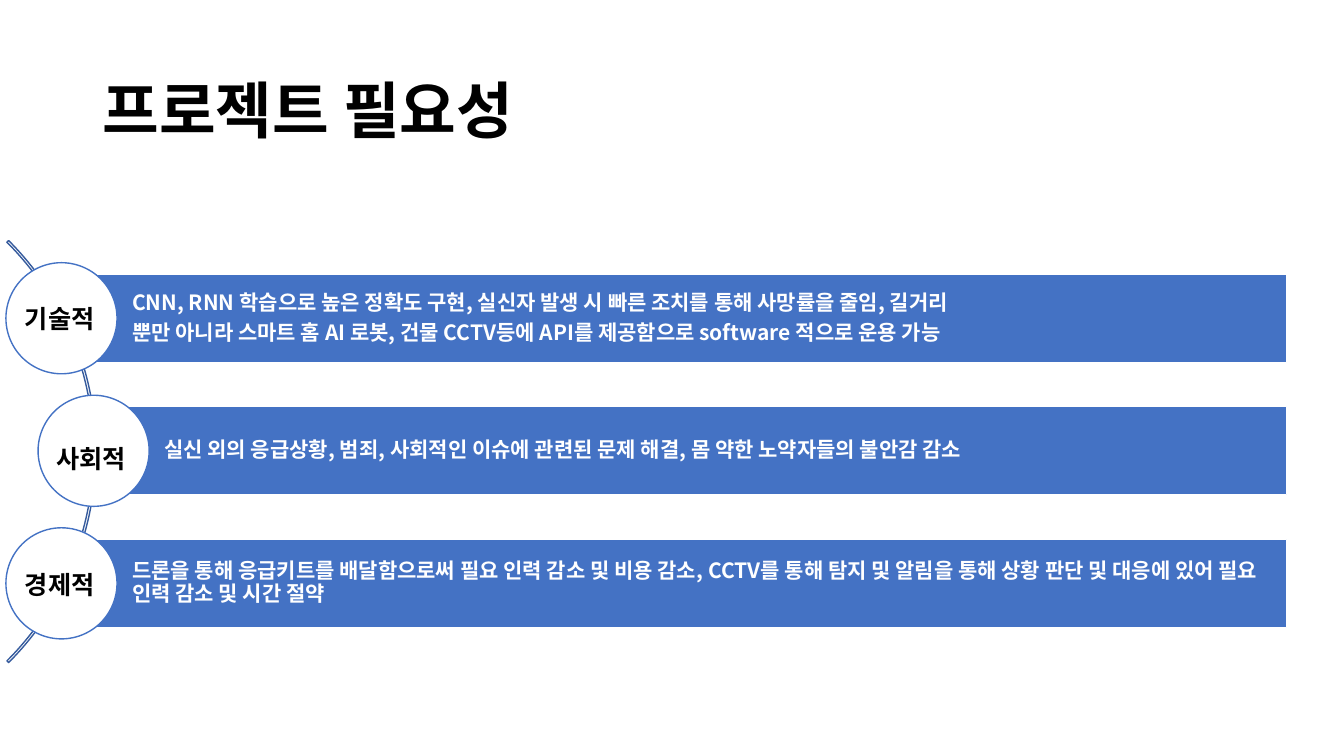
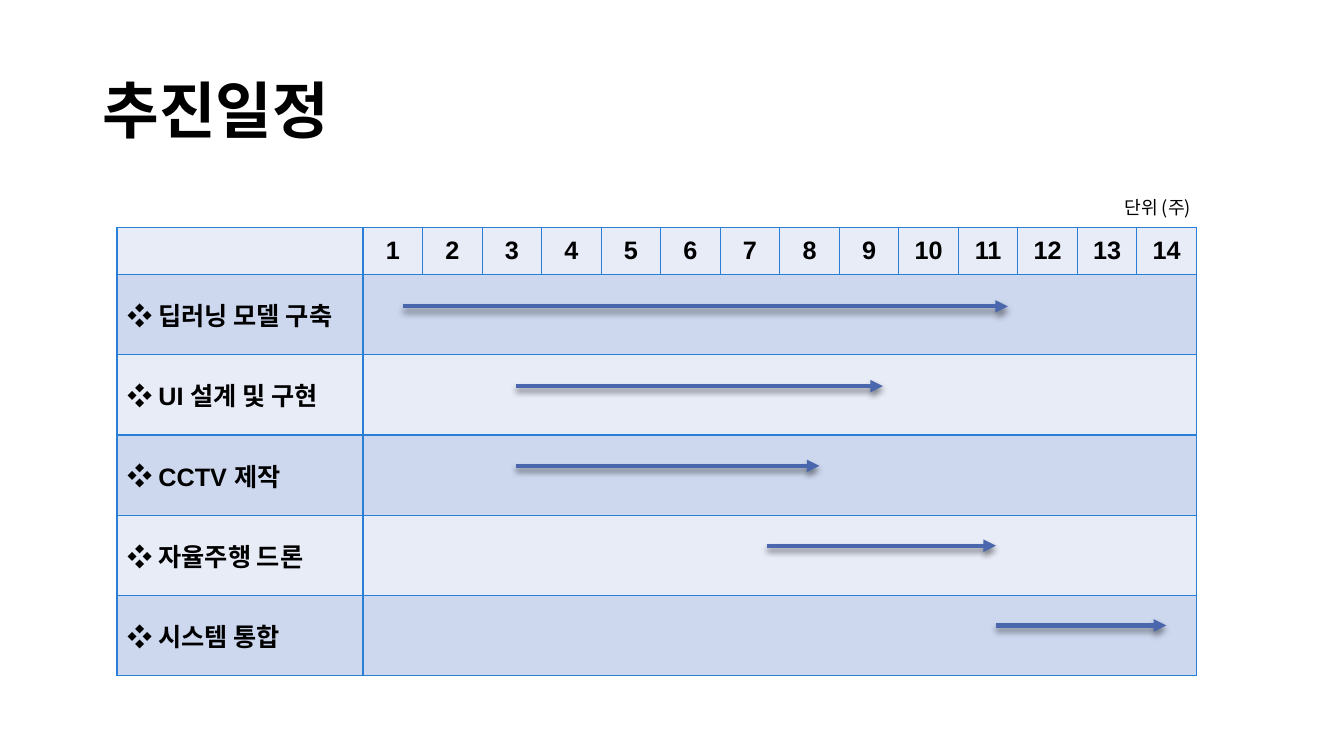
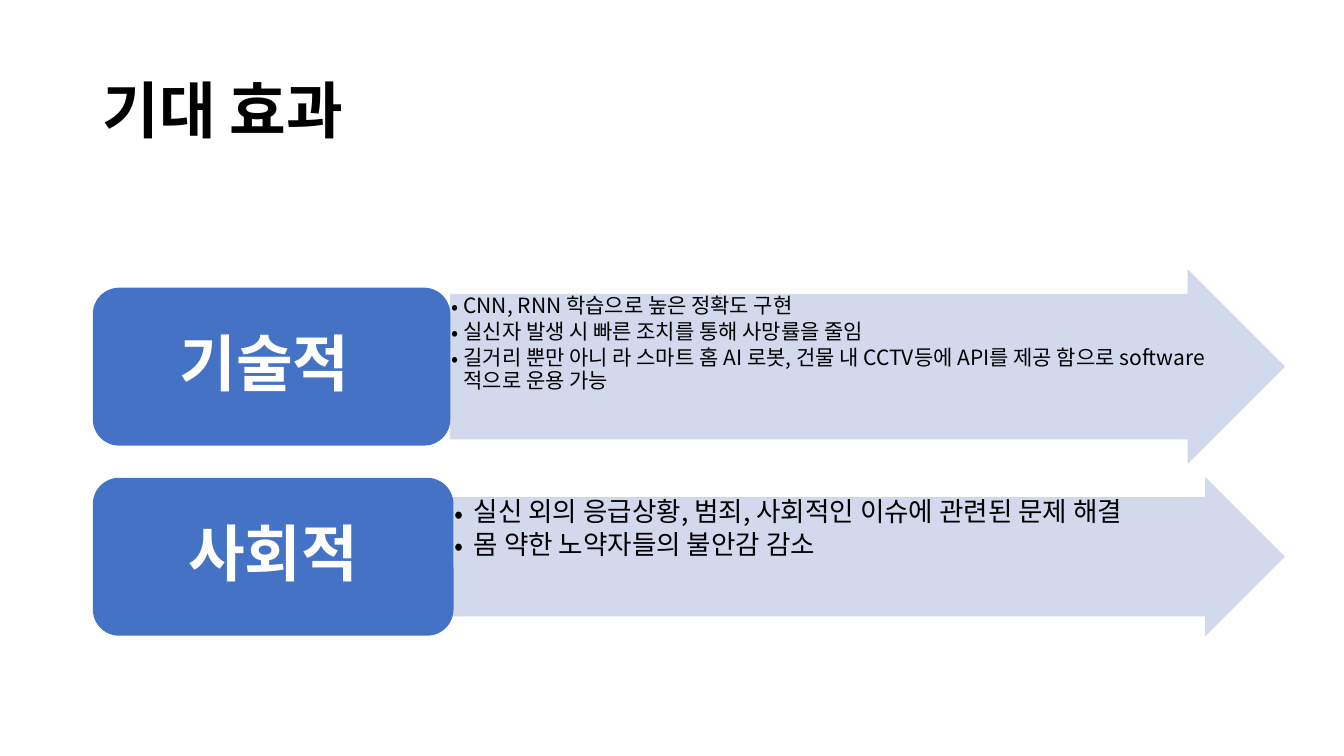
"""Build three project slides: necessity, schedule and expected effects."""
from dataclasses import dataclass

from lxml import etree
from pptx import Presentation
from pptx import util as u
from pptx.dml.color import RGBColor
from pptx.enum import shapes, text
from pptx.oxml import ns


@dataclass(frozen=True)
class Theme:
    """Colours, fonts and type sizes shared by the slides."""
    black: str = "000000"
    white: str = "FFFFFF"
    blue: str = "4472C4"
    arc: str = "365B9D"
    pale: str = "CFD5EA"
    grid: str = "297FD5"
    light_row: str = "E8ECF7"
    dark_row: str = "CDD8EF"
    schedule: str = "4A66AC"
    font: str = "Noto Sans CJK KR"
    table_font: str = "Arial"
    headline: int = 44
    large: int = 19
    label: int = 18
    body: int = 15
    caption: int = 13


THEME = Theme()
ALIGN = text.PP_ALIGN
ANCHOR = text.MSO_ANCHOR
SHAPE = shapes.MSO_SHAPE


def add_xml(parent, tag, **attributes):
    """Append a child element and return it."""
    return etree.SubElement(parent, ns.qn(tag), attributes)


def write_text(frame, lines, *, size, color=THEME.black, font=THEME.font, bold=False,
               align=ALIGN.LEFT, spacing=None, after=0, bullet=None, indent=0):
    """Fill a text frame with one formatted paragraph for each line."""
    for index, line in enumerate([lines] if isinstance(lines, str) else lines):
        paragraph = frame.add_paragraph() if index else frame.paragraphs[0]
        if bullet:
            properties = paragraph._p.get_or_add_pPr()
            properties.set("marL", str(u.Cm(indent)))
            properties.set("indent", str(-u.Cm(indent)))
            add_xml(properties, "a:buFont", typeface=THEME.font)
            add_xml(properties, "a:buChar", char=bullet)
        paragraph.alignment = align
        paragraph.space_before = u.Pt(0)
        paragraph.space_after = u.Pt(size * after)
        if spacing:
            paragraph.line_spacing = spacing
        run = paragraph.add_run()
        run.text = line
        run.font.size = u.Pt(size)
        run.font.bold = bold
        run.font.color.rgb = RGBColor.from_string(color)
        run.font.name = font
        add_xml(run._r.get_or_add_rPr(), "a:ea", typeface=THEME.font)


class Deck:
    """Hold the presentation, its theme and the current slide."""

    def __init__(self, theme):
        """Start a widescreen presentation."""
        self.theme = theme
        self.presentation = Presentation()
        self.presentation.slide_width = u.Cm(33.87)
        self.presentation.slide_height = u.Cm(19.05)
        self.slide = None

    def new_slide(self, title):
        """Add a slide with a formatted title."""
        self.slide = self.presentation.slides.add_slide(self.presentation.slide_layouts[5])
        shape = self.slide.shapes.title
        shape.left, shape.top, shape.width, shape.height = map(u.Cm, (2.33, 1.01, 29.21, 3.68))
        frame = shape.text_frame
        frame.word_wrap = True
        frame.auto_size = text.MSO_AUTO_SIZE.NONE
        frame.vertical_anchor = ANCHOR.MIDDLE
        write_text(frame, title, size=self.theme.headline, bold=True, spacing=0.9)

    def add_shape(self, kind, box, fill=None, line=None, width=1, adjustments=(), alpha=None):
        """Add a preset shape with a plain fill and outline."""
        shape = self.slide.shapes.add_shape(kind, *map(u.Cm, box))
        shape.shadow.inherit = False
        for index, value in enumerate(adjustments):
            shape.adjustments[index] = value
        for target, color in ((shape.fill, fill), (shape.line.fill, line)):
            if not color:
                target.background()
                continue
            target.solid()
            target.fore_color.rgb = RGBColor.from_string(color)
        if line:
            shape.line.width = u.Pt(width)
        if alpha:
            for color in shape._element.spPr.iter(ns.qn("a:srgbClr")):
                add_xml(color, "a:alpha", val=str(alpha * 1000))
        return shape

    def fill_shape(self, shape, lines, insets, anchor=ANCHOR.MIDDLE, **style):
        """Write text inside a shape with the given insets."""
        frame = shape.text_frame
        frame.word_wrap = True
        frame.vertical_anchor = anchor
        frame.margin_left, frame.margin_top, frame.margin_right, frame.margin_bottom = map(
            u.Cm, insets)
        write_text(frame, lines, spacing=0.9, **style)

    def add_label(self, box, words, **style):
        """Add a wrapping text box."""
        frame = self.slide.shapes.add_textbox(*map(u.Cm, box)).text_frame
        frame.word_wrap = True
        frame.auto_size = text.MSO_AUTO_SIZE.SHAPE_TO_FIT_TEXT
        write_text(frame, words, **style)

    def add_arrow(self, start, end, y):
        """Add a horizontal schedule arrow with a soft shadow."""
        connector = self.slide.shapes.add_connector(
            shapes.MSO_CONNECTOR.STRAIGHT, *map(u.Cm, (start, y, end, y)))
        connector.line.color.rgb = RGBColor.from_string(self.theme.schedule)
        connector.line.width = u.Pt(3)
        properties = connector._element.spPr
        add_xml(properties.find(ns.qn("a:ln")), "a:tailEnd", type="triangle")
        effects = add_xml(properties, "a:effectLst")
        shadow = add_xml(effects, "a:outerShdw", blurRad=str(u.Pt(4.5)), dist=str(u.Pt(3)),
                         dir="5400000", algn="ctr", rotWithShape="0")
        color = add_xml(shadow, "a:srgbClr", val=self.theme.black)
        add_xml(color, "a:alpha", val="48000")

    def format_cell(self, cell, fill):
        """Give a cell its borders, fill and anchor."""
        properties = cell._tc.get_or_add_tcPr()
        for side in "LRTB":
            border = add_xml(properties, f"a:ln{side}", w=str(u.Pt(1)))
            add_xml(add_xml(border, "a:solidFill"), "a:srgbClr", val=self.theme.grid)
        cell.fill.solid()
        cell.fill.fore_color.rgb = RGBColor.from_string(fill)
        cell.vertical_anchor = ANCHOR.MIDDLE

    def add_schedule(self, left, top, weeks, tasks):
        """Add a table with a week header and one merged row for each task."""
        label_width, week_width, header_height, row_height = map(u.Cm, (6.2, 1.5, 1.18, 2.02))
        table = self.slide.shapes.add_table(
            len(tasks) + 1, weeks + 1, u.Cm(left), u.Cm(top),
            label_width + week_width * weeks, header_height + row_height * len(tasks)).table
        table.first_row = table.horz_banding = False
        for index, column in enumerate(table.columns):
            column.width = week_width if index else label_width
        for index, row in enumerate(table.rows):
            row.height = row_height if index else header_height
            for cell in row.cells:
                self.format_cell(cell, self.theme.dark_row if index % 2 else self.theme.light_row)
        style = dict(size=self.theme.label, font=self.theme.table_font, bold=True)
        for week in range(1, weeks + 1):
            write_text(table.cell(0, week).text_frame, str(week), align=ALIGN.CENTER, **style)
        for row, task in enumerate(tasks, 1):
            table.cell(row, 1).merge(table.cell(row, weeks))
            write_text(table.cell(row, 0).text_frame, task, bullet="❖", indent=0.79, **style)


def build_necessity(deck):
    """Draw the three reasons along an arc."""
    theme = deck.theme
    deck.new_slide("프로젝트 필요성")
    deck.add_shape(SHAPE.BLOCK_ARC, (-12.62, 3.86, 15.04, 15.04), line=theme.arc,
                   adjustments=(189, 27, 0.004))
    reasons = [
        (1.55, ["CNN, RNN 학습으로 높은 정확도 구현, 실신자 발생 시 빠른 조치를 통해 사망률을 줄임, 길거리",
                "뿐만 아니라 스마트 홈 AI 로봇, 건물 CCTV등에 API를 제공함으로 software 적으로 운용 가능"]),
        (2.36, "실신 외의 응급상황, 범죄, 사회적인 이슈에 관련된 문제 해결, 몸 약한 노약자들의 불안감 감소"),
        (1.55, "드론을 통해 응급키트를 배달함으로써 필요 인력 감소 및 비용 감소, CCTV를 통해 탐지 및 알림을 통해 "
               "상황 판단 및 대응에 있어 필요 인력 감소 및 시간 절약"),
    ]
    right, height, diameter = 32.43, 2.22, 2.8
    for index, (left, lines) in enumerate(reasons):
        top = 6.91 + 3.34 * index
        band = deck.add_shape(SHAPE.RECTANGLE, (left, top, right - left, height),
                              theme.blue, theme.white)
        deck.fill_shape(band, lines, (1.78, 0.1, 0.1, 0.1), size=theme.body,
                        color=theme.white, bold=True, after=0.35)
        deck.add_shape(SHAPE.OVAL, (left - diameter / 2, top + (height - diameter) / 2,
                                    diameter, diameter), theme.white, theme.blue)
    labels = [("기술적", 0.38, 7.52, 1.02, {}),
              ("사회적", 1.17, 10.59, 1.32, dict(align=ALIGN.JUSTIFY, spacing=1.6)),
              ("경제적", 0.38, 14.22, 1.02, {})]
    for words, left, top, label_height, style in labels:
        deck.add_label((left, top, 3.66, label_height), words, size=theme.label,
                       bold=True, **style)


def build_schedule(deck):
    """Draw the schedule table and its arrows."""
    deck.new_slide("추진일정")
    tasks = [("딥러닝 모델 구축", 10.16, 25.4), ("UI 설계 및 구현", 13, 22.25),
             ("CCTV 제작", 13, 20.65), ("자율주행 드론", 19.33, 25.1),
             ("시스템 통합", 25.1, 29.39)]
    deck.add_schedule(2.95, 5.74, 14, [task for task, _, _ in tasks])
    for index, (_, start, end) in enumerate(tasks):
        deck.add_arrow(start, end, 7.72 + 2.01 * index)
    deck.add_label((28.09, 4.83, 2.59, 0.81), "단위 (주)", size=deck.theme.caption)


def build_effects(deck):
    """Draw the expected effects as boxes with arrows."""
    theme = deck.theme
    deck.new_slide("기대 효과")
    effects = [
        ("기술적 ", 11.35, 9.24, 4.86, theme.body, 0.3,
         ["CNN, RNN 학습으로 높은 정확도 구현",
          "실신자 발생 시 빠른 조치를 통해 사망률을 줄임",
          "길거리 뿐만 아니 라 스마트 홈 AI 로봇, 건물 내 CCTV등에 API를 제공 함으로 software 적으로 운용 가능"]),
        ("사회적", 11.43, 14.03, 3.98, theme.large, 0.48,
         ["실신 외의 응급상황, 범죄, 사회적인 이슈에 관련된 문제 해결",
          "몸 약한 노약자들의 불안감 감소"]),
    ]
    box_left, box_height, right = 2.34, 3.98, 32.37
    for heading, left, middle, height, size, indent, lines in effects:
        arrow = deck.add_shape(SHAPE.RIGHT_ARROW, (left, middle - height / 2, right - left, height),
                               theme.pale, theme.pale, 0.5, (0.75, 0.5), alpha=90)
        deck.fill_shape(arrow, lines, (0.03,) * 4, ANCHOR.TOP, size=size, after=0.15,
                        bullet="•", indent=indent)
        box = deck.add_shape(SHAPE.ROUNDED_RECTANGLE, (box_left, middle - box_height / 2,
                                                       left - box_left, box_height), theme.blue)
        deck.fill_shape(box, heading, (0.46, 0.23, 0.46, 0.23), size=theme.headline,
                        color=theme.white, bold=True, align=ALIGN.CENTER, after=0.35)


def main():
    """Build and save the slides."""
    deck = Deck(THEME)
    build_necessity(deck)
    build_schedule(deck)
    build_effects(deck)
    deck.presentation.save("out.pptx")


if __name__ == "__main__":
    main()
